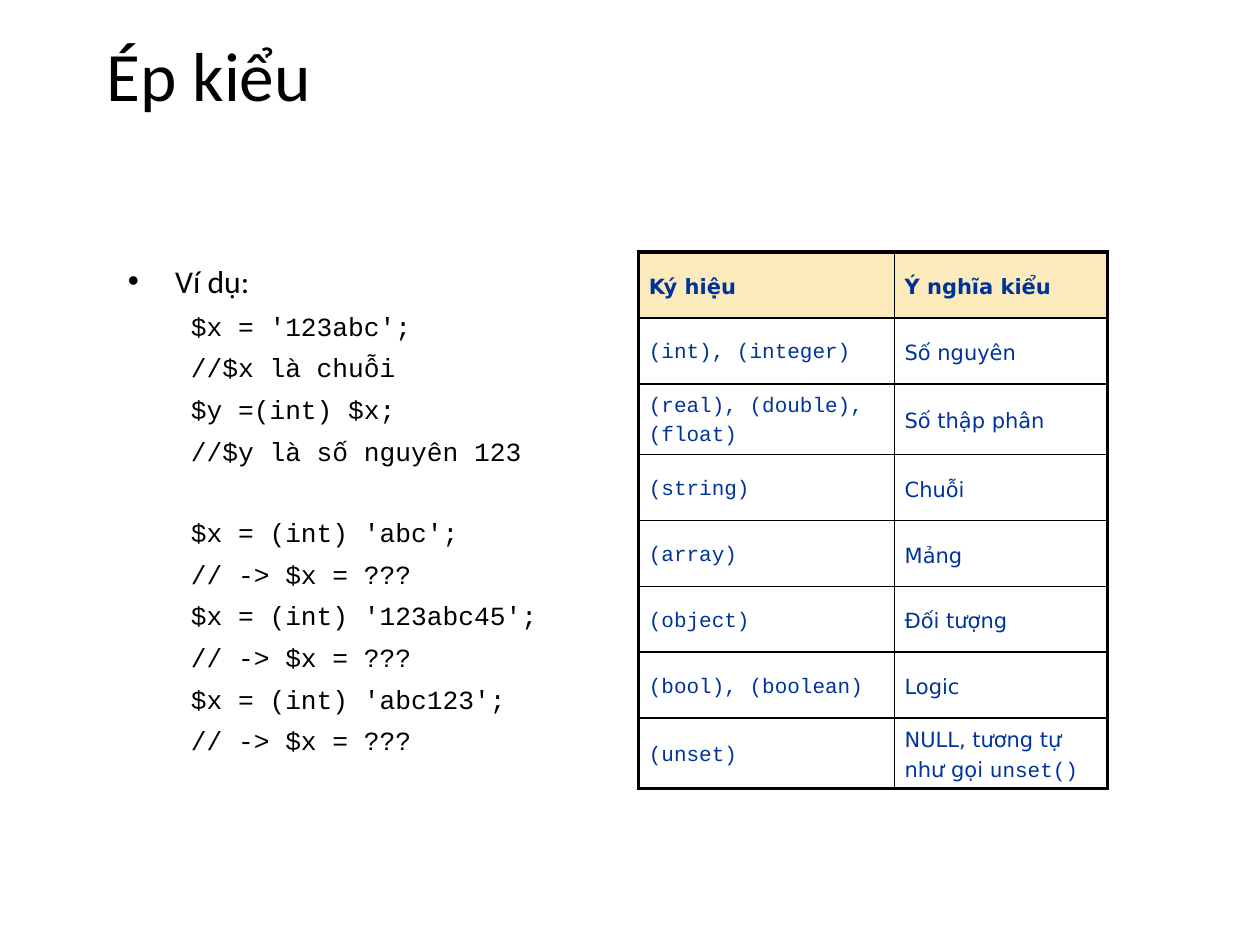
"""Build a slide on PHP type casting with code examples and a table of casts."""
from lxml.etree import SubElement
from pptx import Presentation
from pptx.dml.color import RGBColor
from pptx.enum.text import MSO_ANCHOR
from pptx.oxml.ns import qn
from pptx.util import Pt

COLORS = {"text": "000000", "table": "003399", "header": "FAEABC", "border": "000000"}
CODE_FONT = "Courier New"
TABLE_FONT = "DejaVu Sans"


def add_run(paragraph, text, size=12, font="Calibri", color="text", bold=False):
    run = paragraph.add_run()
    run.text = text
    run.font.size = Pt(size)
    run.font.name = font
    run.font.bold = bold
    run.font.color.rgb = RGBColor.from_string(COLORS[color])


def add_border(cell, side, width):
    line = SubElement(cell._tc.get_or_add_tcPr(), qn(f"a:ln{side}"), w=str(Pt(width)))
    fill = SubElement(line, qn("a:solidFill"))
    SubElement(fill, qn("a:srgbClr"), val=COLORS["border"])


presentation = Presentation()
presentation.slide_width = Pt(720)
presentation.slide_height = Pt(540)
slide = presentation.slides.add_slide(presentation.slide_layouts[6])

title_box = slide.shapes.add_textbox(Pt(54), Pt(24), Pt(526), Pt(36))
title_box.text_frame.word_wrap = True
title_box.text_frame.vertical_anchor = MSO_ANCHOR.MIDDLE
add_run(title_box.text_frame.paragraphs[0], "Ép kiểu", size=39.6)

example_box = slide.shapes.add_textbox(Pt(66), Pt(144), Pt(289.5), Pt(366))
example_frame = example_box.text_frame
example_frame.word_wrap = True
heading = example_frame.paragraphs[0]
heading.line_spacing = 1.1
heading_properties = heading._p.get_or_add_pPr()
heading_properties.set("marL", str(Pt(27)))
heading_properties.set("indent", str(Pt(-27)))
SubElement(heading_properties, qn("a:buFont"), typeface="Arial")
SubElement(heading_properties, qn("a:buChar"), char="•")
add_run(heading, "Ví dụ:", size=18.1)

code_groups = [
    ["$x = '123abc';", "//$x là chuỗi", "$y =(int) $x;", "//$y là số nguyên 123"],
    ["$x = (int) 'abc';", "// -> $x = ???", "$x = (int) '123abc45';",
     "// -> $x = ???", "$x = (int) 'abc123';", "// -> $x = ???"],
]
for group_index, code_lines in enumerate(code_groups):
    for line_index, code_line in enumerate(code_lines):
        paragraph = example_frame.add_paragraph()
        paragraph.line_spacing = 1.1
        paragraph.space_before = Pt(26.8 if group_index and line_index == 0 else 4)
        paragraph._p.get_or_add_pPr().set("marL", str(Pt(58.5)))
        paragraph._p.get_or_add_pPr().set("indent", str(Pt(-22.5)))
        add_run(paragraph, code_line, size=15, font=CODE_FONT)

rows = [
    [[("Ký hiệu", TABLE_FONT)], [("Ý nghĩa kiểu", TABLE_FONT)]],
    [[("(int), (integer)", CODE_FONT)], [("Số nguyên", TABLE_FONT)]],
    [[("(real), (double), (float)", CODE_FONT)], [("Số thập phân", TABLE_FONT)]],
    [[("(string)", CODE_FONT)], [("Chuỗi", TABLE_FONT)]],
    [[("(array)", CODE_FONT)], [("Mảng", TABLE_FONT)]],
    [[("(object)", CODE_FONT)], [("Đối tượng", TABLE_FONT)]],
    [[("(bool), (boolean)", CODE_FONT)], [("Logic", TABLE_FONT)]],
    [[("(unset)", CODE_FONT)],
     [("NULL, tương tự như gọi ", TABLE_FONT), ("unset()", CODE_FONT)]],
]
row_heights = [37.7, 37.7, 40, 37.7, 37.7, 37.7, 37.7, 40]
column_widths = [146.2, 121.7]
last_row = len(rows) - 1
last_column = len(column_widths) - 1

table = slide.shapes.add_table(
    len(rows), len(column_widths), Pt(365), Pt(144),
    Pt(sum(column_widths)), Pt(sum(row_heights))).table
table.first_row = False
table.horz_banding = False
for column, width in zip(table.columns, column_widths):
    column.width = Pt(width)
for row_index, row in enumerate(rows):
    table.rows[row_index].height = Pt(row_heights[row_index])
    for column_index, runs in enumerate(row):
        cell = table.cell(row_index, column_index)
        cell.vertical_anchor = MSO_ANCHOR.MIDDLE
        cell.margin_left = cell.margin_right = Pt(5.8)
        cell.margin_top = cell.margin_bottom = Pt(2.9)
        outer_sides = {"L": column_index == 0, "R": column_index == last_column,
                       "T": row_index == 0, "B": row_index == last_row}
        for side, is_outer in outer_sides.items():
            add_border(cell, side, 2.25 if is_outer else 1)
        if row_index == 0:
            cell.fill.solid()
            cell.fill.fore_color.rgb = RGBColor.from_string(COLORS["header"])
        else:
            cell.fill.background()
        paragraph = cell.text_frame.paragraphs[0]
        paragraph.line_spacing = 1.2
        for text, font in runs:
            add_run(paragraph, text, font=font, color="table", bold=row_index == 0)

presentation.save("out.pptx")
